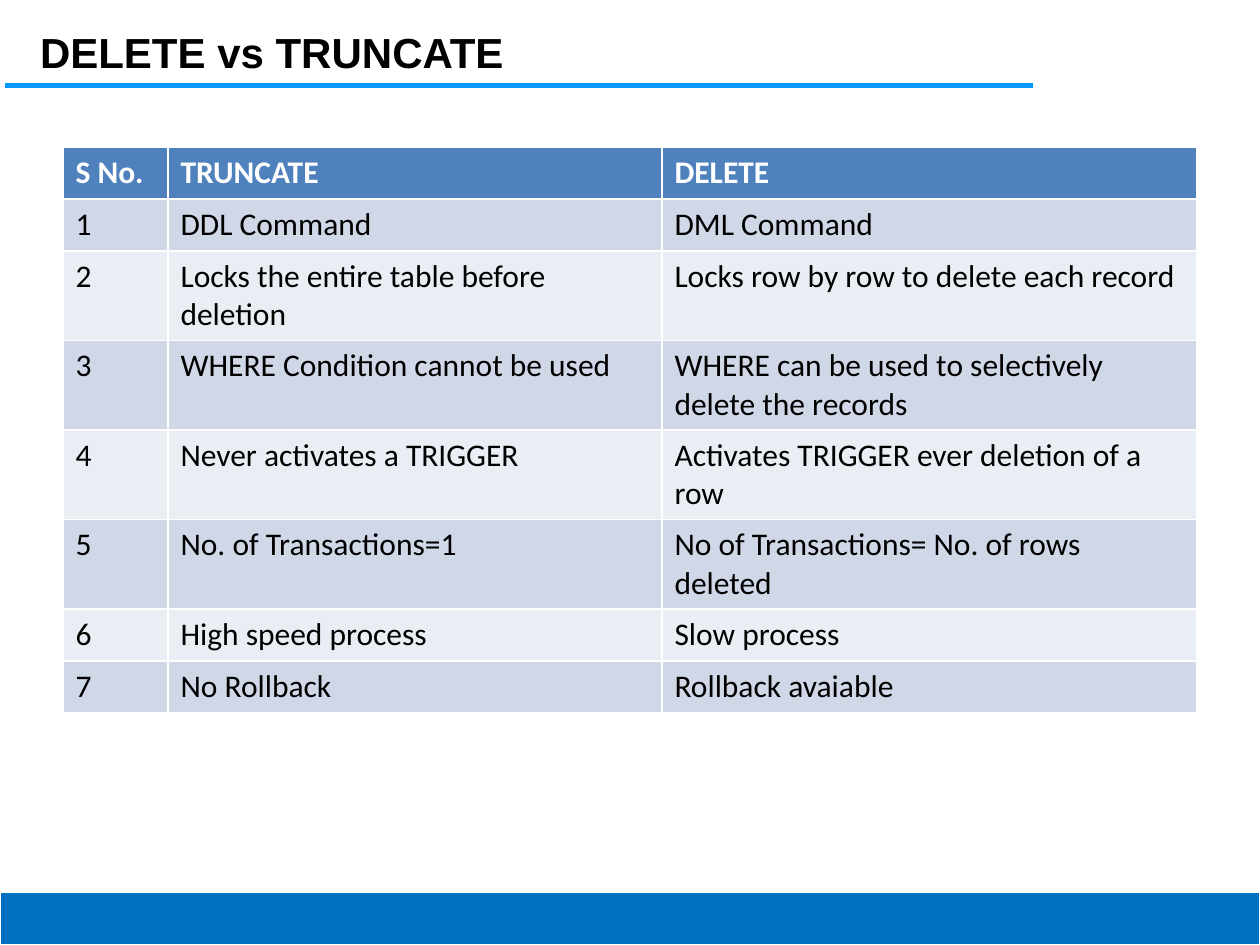
from lxml import etree
from pptx import Presentation
from pptx import util as u
from pptx.dml.color import RGBColor
from pptx.enum import shapes, text
from pptx.oxml.ns import qn

EMU_PER_PX = 914400 / 126
COLORS = {
    "text": "000000",
    "white": "FFFFFF",
    "rule": "0099FF",
    "footer": "0070C0",
    "header": "4F81BD",
    "odd": "D0D8E8",
    "even": "E9EDF4",
}
COLUMN_WIDTHS = [105, 494, 535]
ROW_HEIGHT = 52
HEADINGS = ("S No.", "TRUNCATE", "DELETE")
DIFFERENCES = [
    ("DDL Command", "DML Command"),
    ("Locks the entire table before deletion", "Locks row by row to delete each record"),
    ("WHERE Condition cannot be used", "WHERE can be used to selectively delete the records"),
    ("Never activates a TRIGGER", "Activates TRIGGER ever deletion of a row"),
    ("No. of Transactions=1", "No of Transactions= No. of rows deleted"),
    ("High speed process", "Slow process"),
    ("No Rollback", "Rollback avaiable"),
]


def px(length):
    return u.Emu(round(length * EMU_PER_PX))


def color(name):
    return RGBColor.from_string(COLORS[name])


def format_text(paragraph, font_name, size, color_name, bold):
    for run in paragraph.runs:
        run.font.name = font_name
        run.font.size = u.Pt(size)
        run.font.bold = bold
        run.font.color.rgb = color(color_name)


def set_title(slide, wording):
    title = slide.shapes.title
    title.left, title.top, title.width, title.height = map(px, (29, 21, 1004, 50))
    frame = title.text_frame
    frame.text = wording
    frame.auto_size = text.MSO_AUTO_SIZE.NONE
    frame.vertical_anchor = text.MSO_ANCHOR.TOP
    frame.margin_left = frame.margin_right = px(11)
    frame.margin_top = frame.margin_bottom = px(5)
    heading = frame.paragraphs[0]
    heading.alignment = text.PP_ALIGN.LEFT
    heading.space_before = u.Pt(3)
    format_text(heading, "Arial", 24, "text", True)


def add_title_rule(slide):
    rule = slide.shapes.add_connector(
        shapes.MSO_CONNECTOR.STRAIGHT, px(5), px(86), px(1033), px(86))
    rule.line.color.rgb = color("rule")
    rule.line.width = u.Pt(2.89)
    etree.SubElement(rule._element.spPr, qn("a:effectLst"))


def add_footer_bar(slide):
    footer = slide.shapes.add_shape(
        shapes.MSO_SHAPE.RECTANGLE, px(0), px(892), px(1260), px(53))
    footer.shadow.inherit = False
    footer.fill.solid()
    footer.fill.fore_color.rgb = color("footer")
    footer.line.color.rgb = color("white")
    footer.line.width = u.Pt(0.75)


def add_comparison(slide):
    rows = [HEADINGS] + [
        (str(number), *pair) for number, pair in enumerate(DIFFERENCES, 1)]
    comparison = slide.shapes.add_table(
        len(rows), len(HEADINGS), px(63), px(147),
        px(sum(COLUMN_WIDTHS)), px(ROW_HEIGHT * len(rows))).table
    for column, width in zip(comparison.columns, COLUMN_WIDTHS):
        column.width = px(width)

    # The default table style supplies the white cell borders
    for row_index, wordings in enumerate(rows):
        is_header = row_index == 0
        band = "header" if is_header else ("even", "odd")[row_index % 2]
        comparison.rows[row_index].height = px(ROW_HEIGHT)
        for column_index, wording in enumerate(wordings):
            cell = comparison.cell(row_index, column_index)
            cell.text_frame.text = wording
            cell.fill.solid()
            cell.fill.fore_color.rgb = color(band)
            format_text(cell.text_frame.paragraphs[0], "Calibri", 18,
                        "white" if is_header else "text", is_header)


def main():
    deck = Presentation()
    deck.slide_width, deck.slide_height = px(1260), px(945)
    slide = deck.slides.add_slide(deck.slide_layouts.get_by_name("Title Only"))

    # Heading and page frame
    set_title(slide, "DELETE vs TRUNCATE")
    add_title_rule(slide)
    add_footer_bar(slide)

    # Comparison of the two commands
    add_comparison(slide)

    deck.save("out.pptx")


if __name__ == "__main__":
    main()
